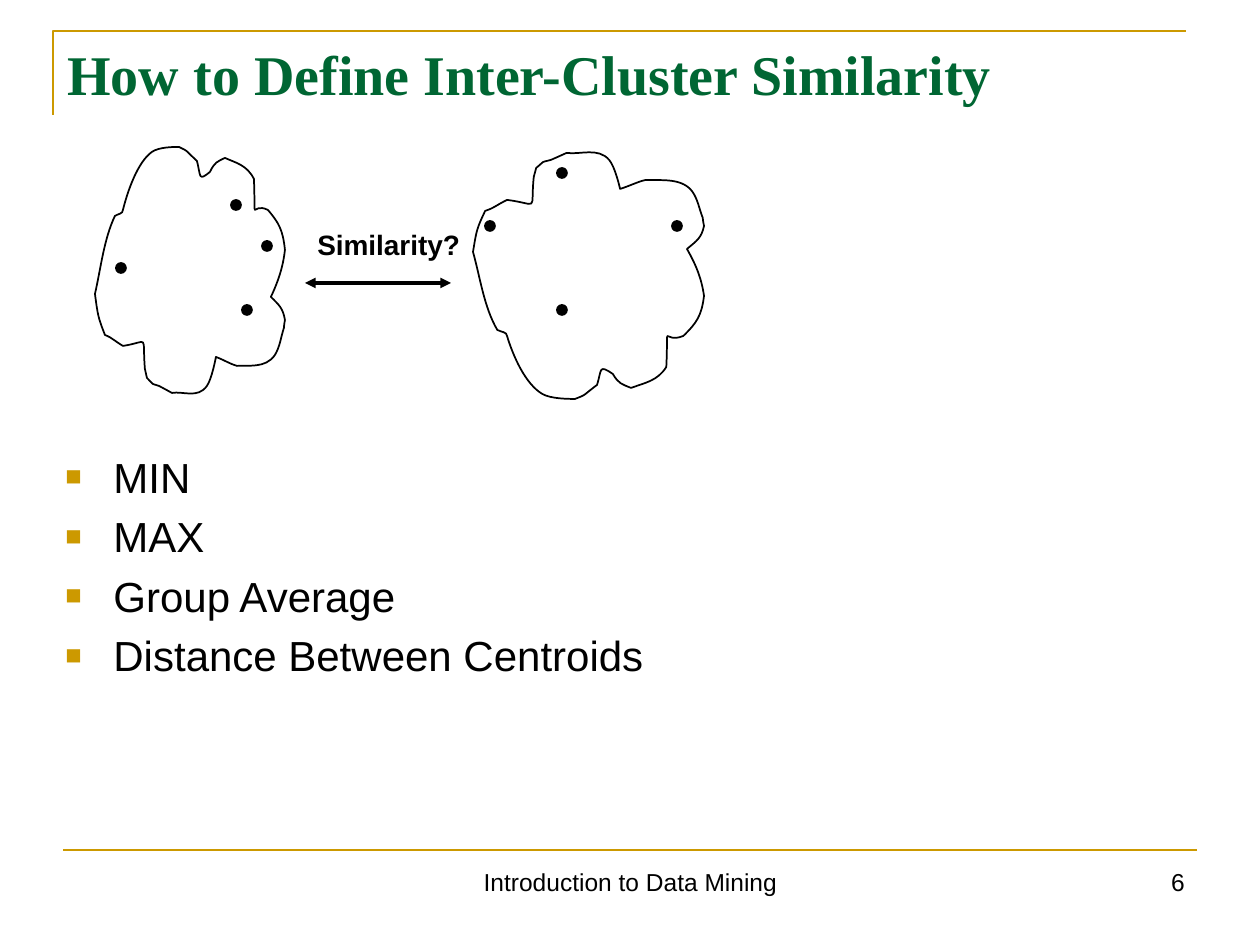
from lxml.etree import SubElement
from pptx import Presentation
from pptx.dml.color import RGBColor
from pptx.enum.shapes import MSO_CONNECTOR, MSO_SHAPE
from pptx.enum.text import MSO_ANCHOR, PP_ALIGN
from pptx.oxml.ns import qn
from pptx.util import Emu, Pt

PX_PER_INCH = 126
EMU_PER_PX = 914400 / PX_PER_INCH

BLACK = RGBColor(0x00, 0x00, 0x00)
GOLD = RGBColor(0xCC, 0x99, 0x00)
GREEN = RGBColor(0x00, 0x66, 0x33)

# Cluster outline: a start point, then three points for each Bezier curve.
CLOUD_HEIGHT = 252
CLOUD_WIDTH = 190
CLOUD_START = (20, 69)
CLOUD_CURVES = [
    (9, 92), (6, 121), (0, 147),
    (3, 169), (3, 170), (10, 188),
    (16, 190), (21, 195), (28, 199),
    (55, 195), (47, 186), (50, 222),
    (50, 225), (52, 228), (52, 231),
    (60, 239), (55, 236), (64, 239),
    (68, 241), (77, 246), (77, 246),
    (88, 244), (103, 252), (112, 239),
    (117, 232), (121, 210), (121, 210),
    (129, 213), (135, 217), (142, 219),
    (152, 218), (171, 222), (180, 208),
    (185, 200), (186, 190), (189, 181),
    (189, 179), (190, 173), (190, 173),
    (188, 161), (184, 158), (176, 150),
    (183, 135), (188, 121), (190, 103),
    (188, 83), (184, 76), (173, 63),
    (155, 54), (161, 82), (159, 32),
    (152, 18), (141, 16), (130, 11),
    (122, 15), (120, 15), (115, 25),
    (103, 35), (106, 29), (102, 14),
    (88, 1), (94, 5), (84, 0),
    (79, 0), (64, 0), (57, 5),
    (43, 15), (33, 43), (28, 63),
    (28, 67), (23, 67), (20, 69),
]

DOT_SIZE = 10
DOT_CENTRES = [
    (247, 310), (236, 205), (121, 268), (267, 246),
    (677, 226), (490, 226), (562, 310), (562, 173),
]
MEASURES = ["MIN", "MAX", "Group Average", "Distance Between Centroids"]


def px(length):
    return Emu(round(length * EMU_PER_PX))


def set_line(shape, color, width):
    shape.line.color.rgb = color
    shape.line.width = Pt(width)


def add_outline(page, points, color, width, close):
    """Draw an unfilled outline through the given points."""
    start, *rest = [(px(x), px(y)) for x, y in points]
    builder = page.shapes.build_freeform(*start)
    builder.add_line_segments(rest, close=close)
    shape = builder.convert_to_shape()
    shape.shadow.inherit = False
    shape.fill.background()
    set_line(shape, color, width)
    return shape


def bend_segments(shape):
    """Turn each three straight segments into one Bezier curve."""
    segments = list(shape._element.iter(qn("a:lnTo")))
    for first in range(0, len(segments), 3):
        group = segments[first:first + 3]
        outline = group[0].getparent()
        curve = outline.makeelement(qn("a:cubicBezTo"))
        outline.insert(outline.index(group[0]), curve)
        for segment in group:
            curve.append(segment[0])
            outline.remove(segment)


def add_cloud(page, left, top, width=CLOUD_WIDTH, flipped=False):
    stretch = width / CLOUD_WIDTH
    points = [
        (left + x * stretch, top + (CLOUD_HEIGHT - y if flipped else y))
        for x, y in [CLOUD_START, *CLOUD_CURVES]
    ]
    bend_segments(add_outline(page, points, BLACK, 1, close=True))


def add_dot(page, x, y):
    dot = page.shapes.add_shape(
        MSO_SHAPE.OVAL, px(x - DOT_SIZE / 2), px(y - DOT_SIZE / 2),
        px(DOT_SIZE), px(DOT_SIZE))
    dot.shadow.inherit = False
    dot.fill.solid()
    dot.fill.fore_color.rgb = BLACK
    set_line(dot, BLACK, 1)


def add_line(page, start, end, color, width, arrows=False):
    line = page.shapes.add_connector(
        MSO_CONNECTOR.STRAIGHT, *map(px, start), *map(px, end))
    set_line(line, color, width)
    if arrows:
        stroke = line.line._get_or_add_ln()
        for tag in ("a:headEnd", "a:tailEnd"):
            SubElement(stroke, qn(tag), type="triangle")
    SubElement(line._element.spPr, qn("a:effectLst"))


def add_bullet(para):
    properties = para._p.get_or_add_pPr()
    properties.set("marL", str(px(48)))
    properties.set("indent", str(-px(48)))
    color = SubElement(properties, qn("a:buClr"))
    SubElement(color, qn("a:srgbClr"), val=str(GOLD))
    SubElement(properties, qn("a:buSzPct"), val="65000")
    SubElement(properties, qn("a:buFont"), typeface="Arial")
    SubElement(properties, qn("a:buChar"), char="■")


def add_text(page, place, lines, size, font="Arial", color=BLACK, bold=False,
             align=PP_ALIGN.LEFT, bulleted=False):
    box = page.shapes.add_textbox(*map(px, place))
    frame = box.text_frame
    frame.word_wrap = True
    for number, line in enumerate(lines):
        para = frame.add_paragraph() if number else frame.paragraphs[0]
        para.alignment = align
        if bulleted:
            para.space_after = Pt(5.2)
            add_bullet(para)
        span = para.add_run()
        span.text = line
        span.font.name = font
        span.font.size = Pt(size)
        span.font.bold = bold
        span.font.color.rgb = color
    return frame


def main():
    deck = Presentation()
    deck.slide_width = px(10 * PX_PER_INCH)
    deck.slide_height = px(7.5 * PX_PER_INCH)
    page = deck.slides.add_slide(deck.slide_layouts[6])

    add_outline(page, [(53, 115), (53, 31), (1186, 31)], GOLD, 1.5, close=False)
    add_line(page, (63, 850), (1197, 850), GOLD, 1.5)
    add_text(page, (431, 861, 399, 66), ["Introduction to Data Mining"], 14,
             align=PP_ALIGN.CENTER)
    add_text(page, (903, 861, 294, 66), ["6"], 14, align=PP_ALIGN.RIGHT)

    title = add_text(page, (55, 31, 1142, 76),
                     ["How to Define Inter-Cluster Similarity"], 32,
                     font="Times New Roman", color=GREEN, bold=True)
    title.vertical_anchor = MSO_ANCHOR.BOTTOM
    title.margin_bottom = 0

    add_line(page, (305, 283), (451, 283), BLACK, 2, arrows=True)
    add_text(page, (305, 221, 199, 47), ["Similarity?"], 16, bold=True)
    add_text(page, (53, 445, 798, 427), MEASURES, 24, bulleted=True)

    add_cloud(page, 95, 147)
    add_cloud(page, 473, 147, width=231, flipped=True)
    for centre in DOT_CENTRES:
        add_dot(page, *centre)

    deck.save("out.pptx")


if __name__ == "__main__":
    main()
